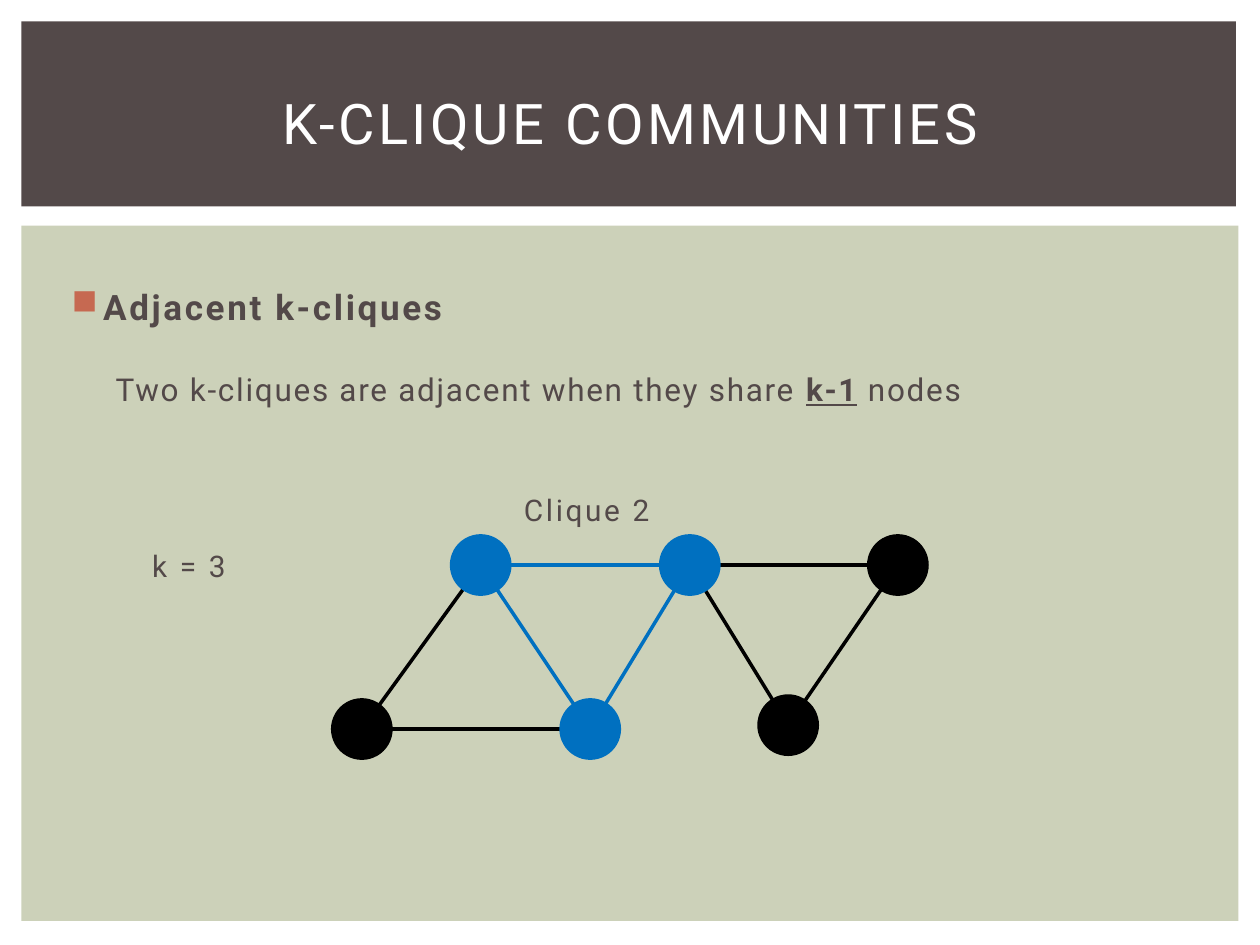
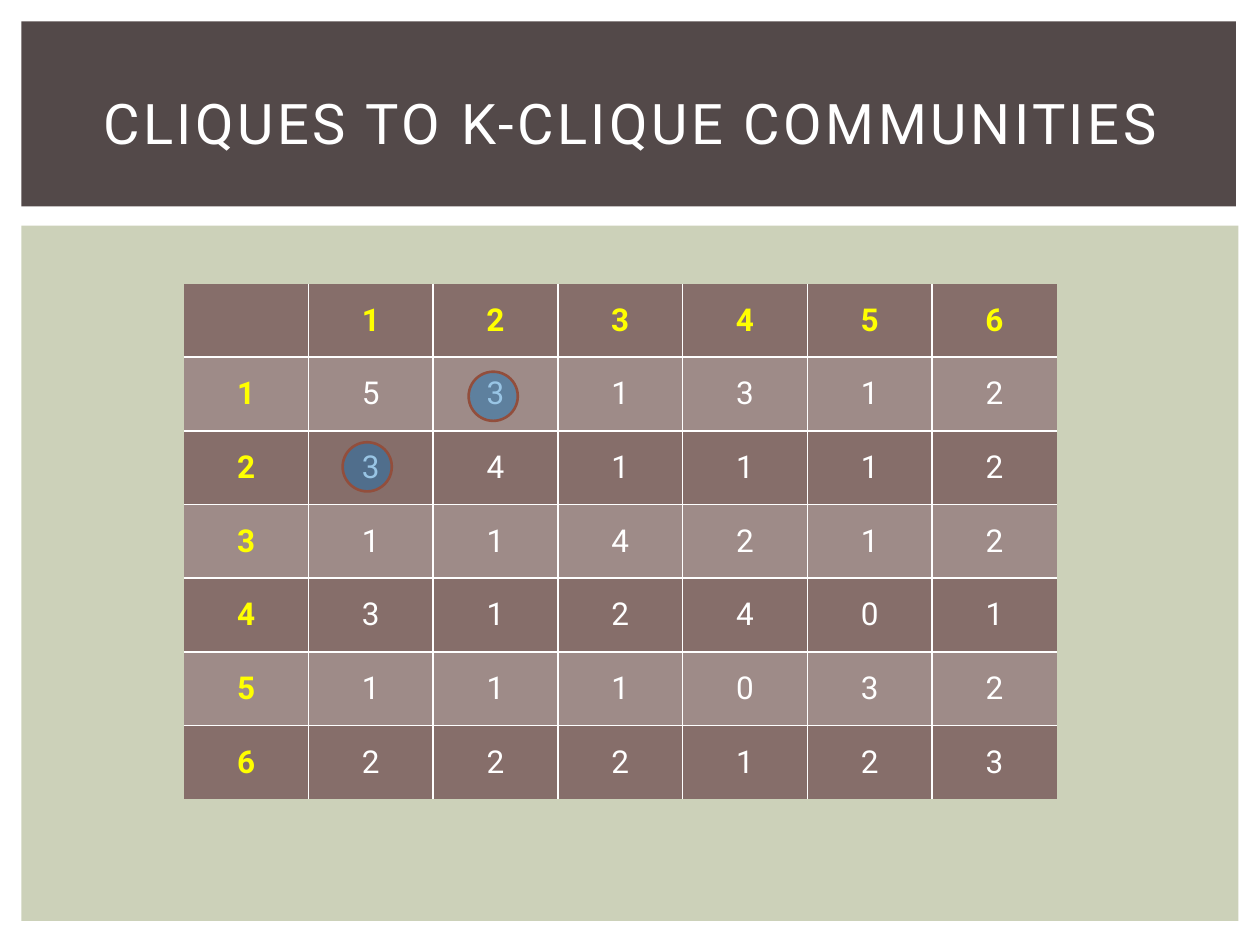
"""Build two slides on k-clique communities."""
from dataclasses import dataclass
from typing import NamedTuple, Optional

from lxml import etree
from pptx import Presentation
from pptx.dml.color import RGBColor
from pptx.enum import shapes, text
from pptx.oxml import ns
from pptx.util import Pt

FONT = "Roboto"
BROWN = RGBColor(0x53, 0x49, 0x49)
SAGE = RGBColor(0xCC, 0xD1, 0xB9)
WHITE = RGBColor(0xFF, 0xFF, 0xFF)
BLACK = RGBColor(0x00, 0x00, 0x00)
BLUE = RGBColor(0x00, 0x70, 0xC0)
YELLOW = RGBColor(0xFF, 0xFF, 0x00)
RUST = RGBColor(0x92, 0x4E, 0x3C)
BULLET_RED = "C66951"
ROW_DARK = RGBColor(0x86, 0x6E, 0x6A)
ROW_LIGHT = RGBColor(0x9E, 0x8B, 0x88)

NODE_SIZE = 33.8
RING_SIZE = 28.1
COLUMN_WIDTH = 71.28
ROW_HEIGHT = 42.1


class Box(NamedTuple):
    """A rectangle in points."""
    left: float
    top: float
    width: float
    height: float

    def lengths(self) -> list:
        """Return the four sides as slide lengths."""
        return [Pt(side) for side in self]


class Node(NamedTuple):
    """A graph node placed by its centre."""
    x: float
    y: float
    color: RGBColor


@dataclass(frozen=True)
class Words:
    """A run of text with its look."""
    content: str
    size: float
    color: RGBColor = BROWN
    spacing: float = 0
    bold: bool = False
    underline: bool = False


@dataclass(frozen=True)
class Line:
    """A paragraph of runs with its spacing and indents."""
    runs: tuple
    align: text.PP_ALIGN = text.PP_ALIGN.LEFT
    line_spacing: float = 1
    before: float = 0
    margin: float = 0
    indent: float = 0
    bullet: str = ""


PANEL = Box(12.24, 128.9, 695.5, 397.4)
BAND = Box(12.24, 12.24, 694.1, 105.8)
TITLE = Box(30.24, 28.1, 660.2, 82.8)
BODY = Box(30.24, 135.4, 661.7, 347)
LABELS = {
    "k = 3": Box(76.3, 290.9, 102.2, 47.5),
    "Clique 2": Box(288.7, 259.2, 102.2, 47.5),
}
DEFINITION = (
    Line((Words("Adjacent k-cliques", 20, spacing=1.5, bold=True),),
         line_spacing=2, margin=21.6, indent=-18, bullet="■"),
    Line((Words("Two k-cliques are adjacent when they share ", 18, spacing=1),
          Words("k-1", 18, spacing=1, bold=True, underline=True),
          Words(" ", 18, spacing=1, bold=True),
          Words("nodes", 18, spacing=1)),
         line_spacing=2, before=3, margin=28.8),
)
TOP_ROW = 322.9
NODES = {
    "a": Node(206.8, 416.6, BLACK),
    "b": Node(274.7, TOP_ROW, BLUE),
    "c": Node(337.3, 416.6, BLUE),
    "d": Node(394.2, TOP_ROW, BLUE),
    "e": Node(450.4, 414.4, BLACK),
    "f": Node(513.1, TOP_ROW, BLACK),
}
EDGES = ("ab", "ac", "de", "df", "ef", "bc", "bd", "cd")
OVERLAPS = (
    (5, 3, 1, 3, 1, 2),
    (3, 4, 1, 1, 1, 2),
    (1, 1, 4, 2, 1, 2),
    (3, 1, 2, 4, 0, 1),
    (1, 1, 1, 0, 3, 2),
    (2, 2, 2, 1, 2, 3),
)
RINGS = ((267.8, 212.4), (195.8, 252.7))


def add_figure(slide, kind: shapes.MSO_SHAPE, box: Box, fill: RGBColor,
               outline: Optional[RGBColor] = None, opacity: int = 100) -> None:
    """Draw a filled preset shape."""
    figure = slide.shapes.add_shape(kind, *box.lengths())
    figure.shadow.inherit = False
    figure.fill.solid()
    figure.fill.fore_color.rgb = fill
    if opacity < 100:
        tint = figure._element.spPr.find(f"{ns.qn('a:solidFill')}/{ns.qn('a:srgbClr')}")
        etree.SubElement(tint, ns.qn("a:alpha"), val=str(opacity * 1000))
    if outline is None:
        figure.line.fill.background()
    else:
        figure.line.color.rgb = outline
        figure.line.width = Pt(1.5)


def write_line(paragraph, line: Line) -> None:
    """Fill a paragraph with its runs."""
    properties = paragraph._p.get_or_add_pPr()
    if line.margin:
        properties.set("marL", str(Pt(line.margin)))
        properties.set("indent", str(Pt(line.indent)))
    paragraph.alignment = line.align
    paragraph.line_spacing = line.line_spacing
    if line.before:
        paragraph.space_before = Pt(line.before)
    if line.bullet:
        tint = etree.SubElement(properties, ns.qn("a:buClr"))
        etree.SubElement(tint, ns.qn("a:srgbClr"), val=BULLET_RED)
        etree.SubElement(properties, ns.qn("a:buChar"), char=line.bullet)
    for words in line.runs:
        run = paragraph.add_run()
        run.text = words.content
        run.font.name = FONT
        run.font.size = Pt(words.size)
        run.font.color.rgb = words.color
        run.font.bold = words.bold
        run.font.underline = words.underline
        if words.spacing:
            run._r.get_or_add_rPr().set("spc", str(int(words.spacing * 100)))


def add_text(slide, box: Box, lines: tuple,
             anchor: text.MSO_ANCHOR = text.MSO_ANCHOR.TOP) -> None:
    """Place a wrapped text box."""
    frame = slide.shapes.add_textbox(*box.lengths()).text_frame
    frame.word_wrap = True
    frame.vertical_anchor = anchor
    for index, line in enumerate(lines):
        write_line(frame.add_paragraph() if index else frame.paragraphs[0], line)


def add_base(deck, title: str):
    """Add a slide with the shared panel, band and title."""
    slide = deck.slides.add_slide(deck.slide_layouts[6])
    add_figure(slide, shapes.MSO_SHAPE.RECTANGLE, PANEL, SAGE)
    add_figure(slide, shapes.MSO_SHAPE.RECTANGLE, BAND, BROWN)
    heading = Line((Words(title, 32, WHITE, spacing=2),), text.PP_ALIGN.CENTER)
    add_text(slide, TITLE, (heading,), text.MSO_ANCHOR.MIDDLE)
    return slide


def add_edge(slide, start: Node, end: Node) -> None:
    """Join two nodes, in blue when both belong to clique 2."""
    edge = slide.shapes.add_connector(shapes.MSO_CONNECTOR.STRAIGHT,
                                      Pt(start.x), Pt(start.y), Pt(end.x), Pt(end.y))
    edge.line.color.rgb = BLUE if start.color == end.color == BLUE else BLACK
    edge.line.width = Pt(2)
    etree.SubElement(edge._element.spPr, ns.qn("a:effectLst"))


def add_graph(slide) -> None:
    """Draw the chain of adjacent 3-cliques."""
    for start, end in EDGES:
        add_edge(slide, NODES[start], NODES[end])
    for node in NODES.values():
        box = Box(node.x - NODE_SIZE / 2, node.y - NODE_SIZE / 2, NODE_SIZE, NODE_SIZE)
        add_figure(slide, shapes.MSO_SHAPE.OVAL, box, node.color, node.color)


def set_borders(cell, inner_sides: dict) -> None:
    """Rule the inner sides in white and clear the outer ones."""
    properties = cell._tc.get_or_add_tcPr()
    for side, inner in inner_sides.items():
        border = etree.SubElement(properties, ns.qn(f"a:ln{side}"), w=str(Pt(1)))
        if inner:
            paint = etree.SubElement(border, ns.qn("a:solidFill"))
            etree.SubElement(paint, ns.qn("a:srgbClr"), val=str(WHITE))
        else:
            etree.SubElement(border, ns.qn("a:noFill"))


def add_overlap_table(slide) -> None:
    """Draw the clique overlap matrix with its header row and column."""
    count = len(OVERLAPS)
    size = count + 1
    numbers = tuple(range(1, size))
    grid = [("", *numbers)] + [(n, *row) for n, row in zip(numbers, OVERLAPS)]
    area = Box(105, 162, COLUMN_WIDTH * size, ROW_HEIGHT * size)
    table = slide.shapes.add_table(size, size, *area.lengths()).table
    table.first_row = table.horz_banding = False
    for index in range(size):
        table.columns[index].width = Pt(COLUMN_WIDTH)
        table.rows[index].height = Pt(ROW_HEIGHT)
    for r, values in enumerate(grid):
        for c, value in enumerate(values):
            cell = table.cell(r, c)
            set_borders(cell, {"L": c > 0, "R": c < count, "T": r > 0, "B": r < count})
            cell.fill.solid()
            cell.fill.fore_color.rgb = ROW_LIGHT if r % 2 else ROW_DARK
            cell.vertical_anchor = text.MSO_ANCHOR.MIDDLE
            header = r == 0 or c == 0
            if value != "":
                words = Words(str(value), 18, YELLOW if header else WHITE, bold=header)
                write_line(cell.text_frame.paragraphs[0],
                           Line((words,), text.PP_ALIGN.CENTER))


def main() -> None:
    """Build and save the slides."""
    deck = Presentation()
    deck.slide_width, deck.slide_height = Pt(720), Pt(540)

    communities = add_base(deck, "K-CLIQUE COMMUNITIES")
    add_text(communities, BODY, DEFINITION)
    add_graph(communities)
    for label, box in LABELS.items():
        words = Words(label, 17, spacing=1.5)
        add_text(communities, box, (Line((words,), line_spacing=1.9, margin=3.6),))

    matrix = add_base(deck, "CLIQUES TO K-CLIQUE COMMUNITIES")
    add_overlap_table(matrix)
    for left, top in RINGS:
        add_figure(matrix, shapes.MSO_SHAPE.OVAL,
                   Box(left, top, RING_SIZE, RING_SIZE), BLUE, RUST, opacity=40)

    deck.save("out.pptx")


if __name__ == "__main__":
    main()
